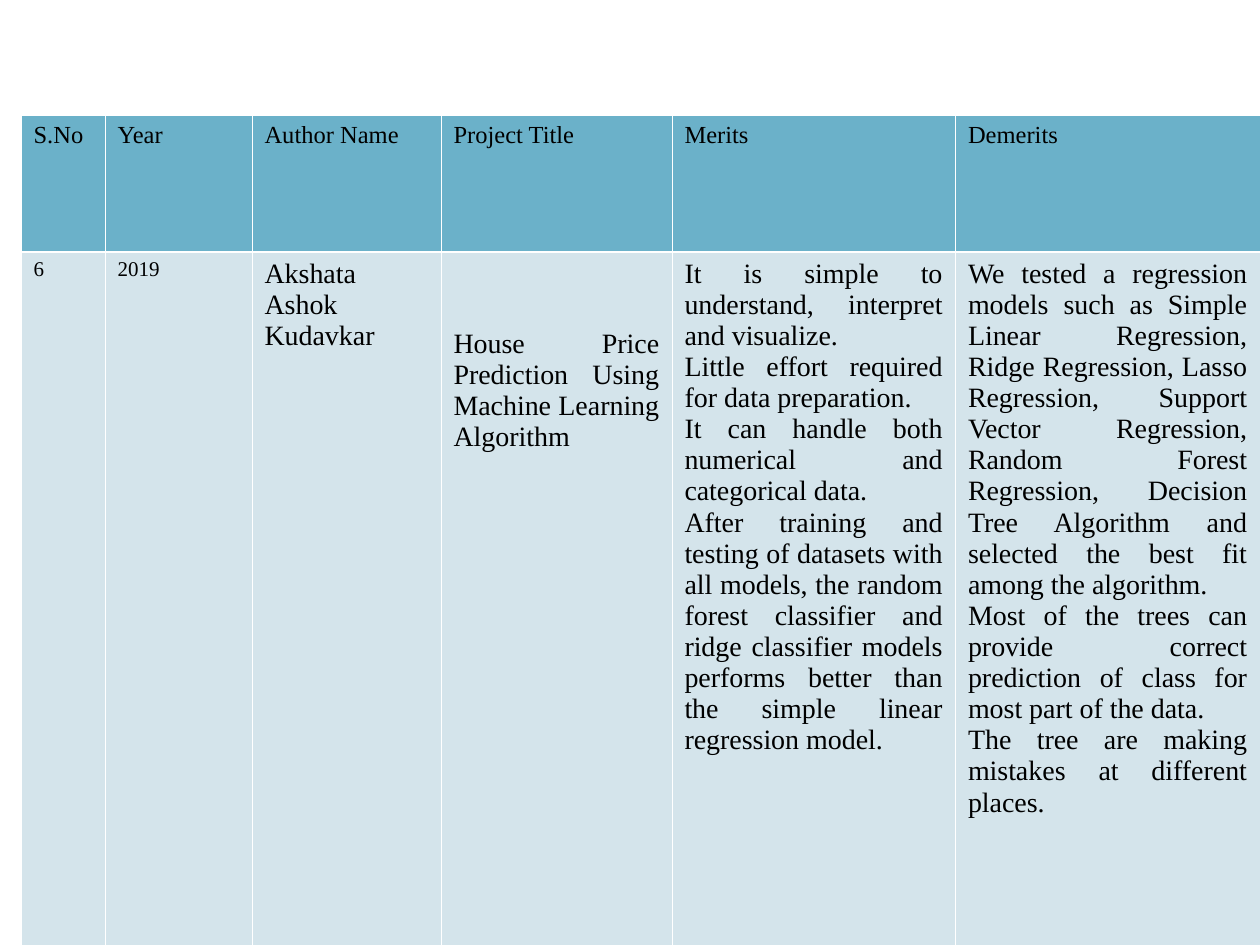
from dataclasses import dataclass

from lxml import etree
from pptx import Presentation
from pptx.dml.color import RGBColor
from pptx.enum.text import PP_ALIGN
from pptx.oxml.ns import qn
from pptx.util import Pt

JUSTIFY = PP_ALIGN.JUSTIFY
BLANK_LAYOUT = 6


@dataclass(frozen=True)
class Theme:
    font: str = "Times New Roman"
    ink: str = "000000"
    header_fill: str = "6BB1C9"
    body_fill: str = "D4E4EB"
    border: str = "FFFFFF"
    header_size: float = 14
    small_size: float = 12
    body_size: float = 16
    thin_line: float = 0.45
    thick_line: float = 1.47


THEME = Theme()

COLUMN_WIDTHS = (48, 84, 108, 132, 162, 174)
HEADER_HEIGHT, BODY_HEIGHT = 78, 420
TABLE_LEFT, TABLE_TOP = 12, 66
CELL_MARGIN = 3.6
TITLE_DROP = 40

HEADINGS = ("S.No", "Year", "Author Name", "Project Title", "Merits", "Demerits")
MERITS = (
    "It is simple to understand, interpret and visualize.",
    "Little effort required for data preparation.",
    "It can handle both numerical and categorical data.",
    "After training and testing of datasets with all models, the random forest "
    "classifier and ridge classifier models performs better than the simple "
    "linear regression model.",
)
DEMERITS = (
    "We tested a regression models such as Simple Linear Regression, Ridge "
    "Regression, Lasso Regression, Support Vector Regression, Random Forest "
    "Regression, Decision Tree Algorithm and selected the best fit among the "
    "algorithm.",
    "Most of the trees can provide correct prediction of class for most part of "
    "the data.",
    "The tree are making mistakes at different places.",
)
# Each entry: paragraphs, type size, extra space above the text
STUDY = (
    (("6",), THEME.small_size, 0),
    (("2019",), THEME.small_size, 0),
    (("Akshata Ashok Kudavkar",), THEME.body_size, 0),
    (("House Price Prediction Using Machine Learning Algorithm",),
     THEME.body_size, TITLE_DROP),
    (MERITS, THEME.body_size, 0),
    (DEMERITS, THEME.body_size, 0),
)


def write_text(frame, lines, *, size, color=THEME.ink, align=JUSTIFY):
    for index, line in enumerate(lines):
        para = frame.add_paragraph() if index else frame.paragraphs[0]
        para.alignment = align
        span = para.add_run()
        span.text = line
        span.font.name = THEME.font
        span.font.size = Pt(size)
        span.font.bold = False
        span.font.color.rgb = RGBColor.from_string(color)


def set_borders(cell, *, top=THEME.thin_line, bottom=THEME.thin_line):
    """Draw all four sides; the schema wants them ahead of the cell's fill."""
    properties = cell._tc.get_or_add_tcPr()
    widths = {"lnL": THEME.thin_line, "lnR": THEME.thin_line,
              "lnT": top, "lnB": bottom}
    for index, (side, width) in enumerate(widths.items()):
        line = etree.Element(qn(f"a:{side}"), w=str(int(Pt(width))))
        fill = etree.SubElement(line, qn("a:solidFill"))
        etree.SubElement(fill, qn("a:srgbClr"), val=THEME.border)
        properties.insert(index, line)


def fill_cell(cell, lines, *, size, fill, drop=0, **borders):
    cell.fill.solid()
    cell.fill.fore_color.rgb = RGBColor.from_string(fill)
    cell.margin_top = Pt(CELL_MARGIN + drop)
    write_text(cell.text_frame, lines, size=size)
    set_borders(cell, **borders)


def add_survey_table(page):
    frame = page.shapes.add_table(
        2, len(COLUMN_WIDTHS), Pt(TABLE_LEFT), Pt(TABLE_TOP),
        Pt(sum(COLUMN_WIDTHS)), Pt(HEADER_HEIGHT + BODY_HEIGHT))
    table = frame.table
    table.first_row = table.horz_banding = False
    for column, width in zip(table.columns, COLUMN_WIDTHS):
        column.width = Pt(width)
    for row, height in zip(table.rows, (HEADER_HEIGHT, BODY_HEIGHT)):
        row.height = Pt(height)

    for index, (heading, study) in enumerate(zip(HEADINGS, STUDY)):
        fill_cell(table.cell(0, index), (heading,), size=THEME.header_size,
                  fill=THEME.header_fill, bottom=THEME.thick_line)
        lines, size, drop = study
        fill_cell(table.cell(1, index), lines, size=size, fill=THEME.body_fill,
                  drop=drop, top=THEME.thick_line)


def main():
    deck = Presentation()
    deck.slide_width, deck.slide_height = Pt(720), Pt(540)
    page = deck.slides.add_slide(deck.slide_layouts[BLANK_LAYOUT])
    add_survey_table(page)
    deck.save("out.pptx")


if __name__ == "__main__":
    main()
